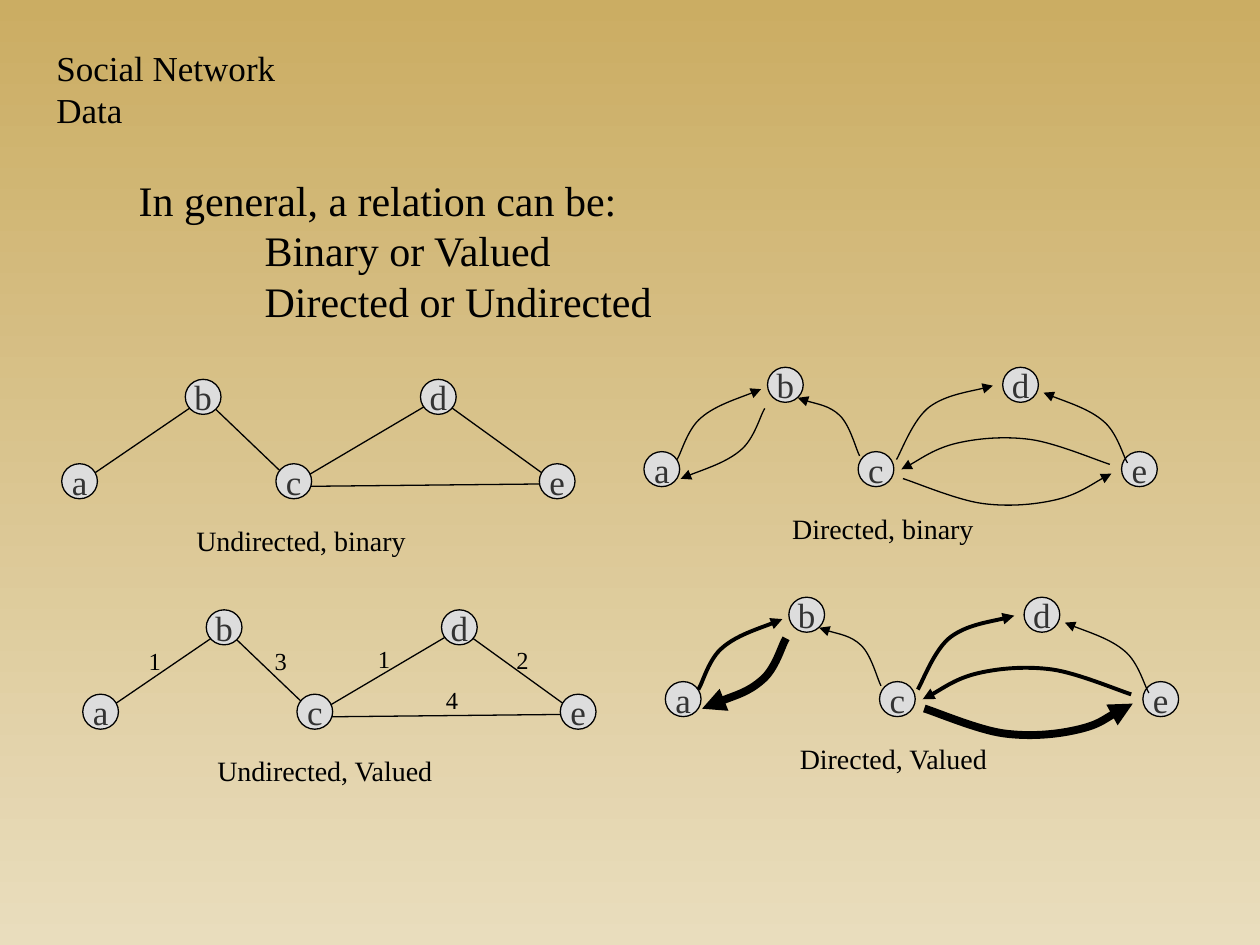
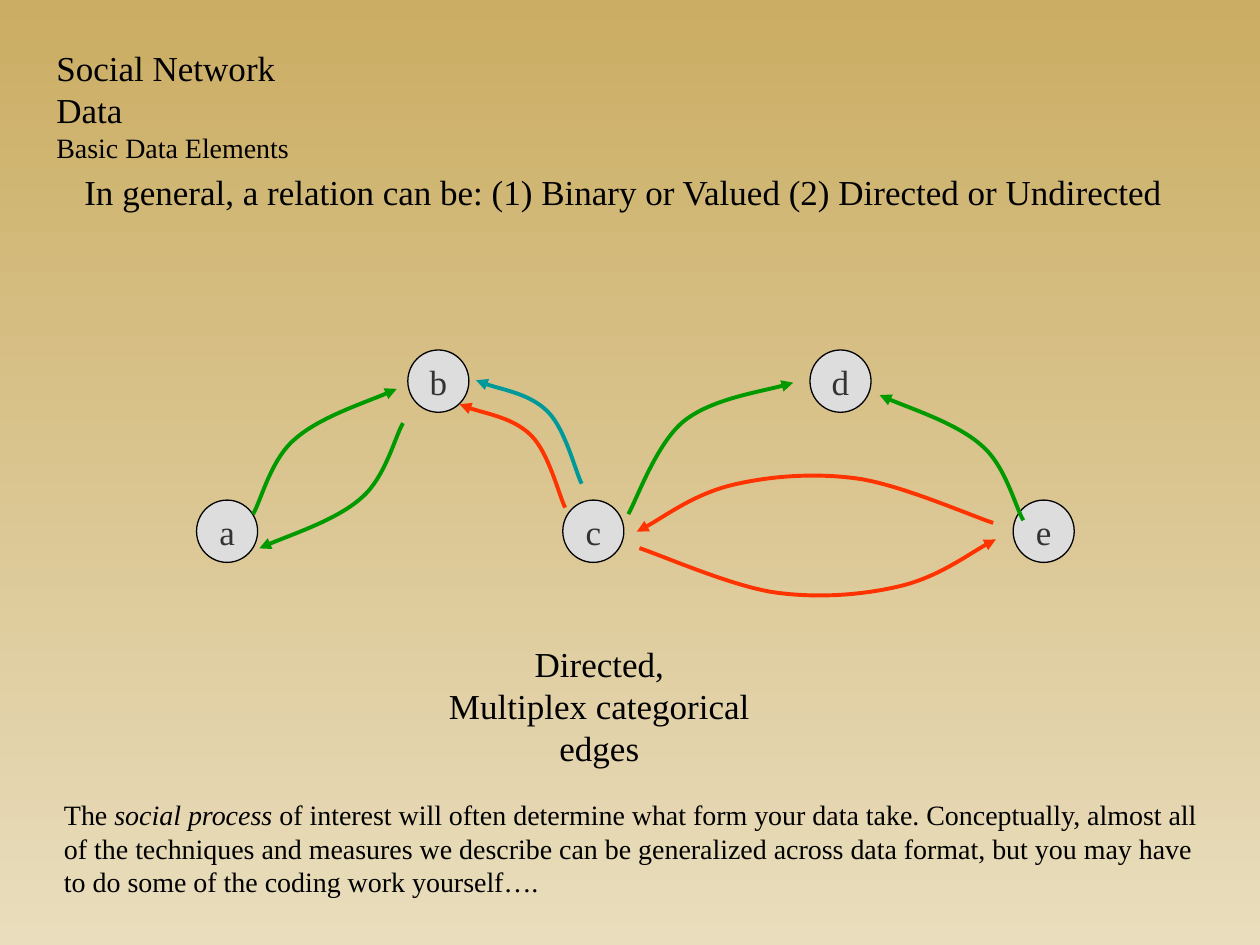
from dataclasses import dataclass

import lxml.etree
import pptx
import pptx.dml.color
import pptx.enum.shapes
import pptx.enum.text
import pptx.oxml.ns
import pptx.util

Pt = pptx.util.Pt
qn = pptx.oxml.ns.qn
ALIGN = pptx.enum.text.PP_ALIGN
ANCHOR = pptx.enum.text.MSO_ANCHOR


@dataclass(frozen=True)
class Theme:
    font: str = "Times New Roman"
    sky: str = "CBAD63"
    ground: str = "E9DDBD"
    ink: str = "000000"
    node_fill: str = "DDDDDD"
    node_ink: str = "333333"
    green: str = "009900"
    red: str = "FF3300"
    teal: str = "009999"
    lead: float = 24
    heading: float = 20
    body: float = 16
    weight: float = 14
    thin: float = 0.75
    medium: float = 2.25
    thick: float = 4.5


THEME = Theme()

# Network geometry in points, measured from the top left of node a
NODE_SIZE = (20.4, 20)
NODES = {"a": (0, 0), "b": (70.6, -48.2), "c": (122.4, 0), "d": (205, -48.2), "e": (272.9, 0)}
EDGE_LINE = [(10.8, 10.8), (81.4, -37.4), (132.5, 11.5), (215.3, -37.4), (283, 11.5), (134.6, 13)]


def turned(points, across, down):
    """Rotate a curve by half a turn; the arguments are twice its centre."""
    return [(across - x, down - y) for x, y in points]


def moved(points, across, down):
    return [(x + across, y + down) for x, y in points]


# Bezier curves: a start point, then three points for each segment
A_TO_B = [(18.9, 4.5), (21.5, 0.4), (24.8, -13), (32.8, -19.5),
          (40.8, -26.4), (59.7, -32.4), (66.9, -35.7)]
C_TO_B = [(123.2, 2.4), (121.1, -1.6), (117.8, -15), (111.9, -20.7),
          (106, -26.4), (93, -28.4), (87.9, -30.8)]
C_TO_D = [(144.3, 4.5), (147.2, -0.4), (153.9, -18.7), (163.2, -25.6),
          (172.4, -32.4), (191.8, -35.3), (199.4, -37.7)]
C_TO_E = [(148, 15.4), (155.6, 17.8), (178.8, 27.6), (193.1, 29.6), (207.8, 31.6),
          (222.9, 30.4), (235.1, 27.6), (247.7, 24.7), (260.8, 15.4), (267.1, 12.6)]
ARCS = {
    "ab": A_TO_B,
    "ba": turned(A_TO_B, 87.9, -20.2),
    "cd": C_TO_D,
    "ce": C_TO_E,
    "ed": [(295.2 - x, y + 2) for x, y in A_TO_B],
    "ec": turned(C_TO_E, 414.2, 22.7),
    "cb": C_TO_B,
    "cb second": moved(C_TO_B, 5.5, -7.7),
}


def rgb(value):
    return pptx.dml.color.RGBColor.from_string(value)


# Text
def write(box, text, size=THEME.body, color=THEME.ink, align=ALIGN.LEFT, indent=0):
    """Add a paragraph; text is a string or a list of (text, italic) spans."""
    frame = box.text_frame
    para = frame.paragraphs[0] if not frame.text else frame.add_paragraph()
    properties = para._p.get_or_add_pPr()
    properties.set("marL", str(Pt(indent)))
    properties.set("indent", "0")
    lxml.etree.SubElement(properties, qn("a:buNone"))
    para.alignment = align
    para.space_before = Pt(0)
    for words, italic in [(text, False)] if isinstance(text, str) else text:
        span = para.add_run()
        span.text = words
        span.font.name = THEME.font
        span.font.size = Pt(size)
        span.font.italic = italic
        span.font.color.rgb = rgb(color)


def place(box, left, top, width, height):
    box.left, box.top, box.width, box.height = map(Pt, (left, top, width, height))
    frame = box.text_frame
    frame.word_wrap = True
    frame.auto_size = pptx.enum.text.MSO_AUTO_SIZE.NONE
    frame.vertical_anchor = ANCHOR.TOP
    return box


def add_label(shapes, text, left, top, width, height, **style):
    box = place(shapes.add_textbox(0, 0, 0, 0), left, top, width, height)
    write(box, text, **style)


# Network parts
def add_node(shapes, name, left, top, width, height):
    node = shapes.add_shape(pptx.enum.shapes.MSO_SHAPE.OVAL,
                            Pt(left), Pt(top), Pt(width), Pt(height))
    node.shadow.inherit = False
    node.fill.solid()
    node.fill.fore_color.rgb = rgb(THEME.node_fill)
    node.line.color.rgb = rgb(THEME.ink)
    node.line.width = Pt(THEME.thin)
    frame = node.text_frame
    frame.margin_left = frame.margin_right = frame.margin_top = frame.margin_bottom = 0
    frame.word_wrap = False
    frame.vertical_anchor = ANCHOR.MIDDLE
    write(node, name, size=THEME.heading, color=THEME.node_ink, align=ALIGN.CENTER)


def add_outline(shapes, points, color=THEME.ink, width=THEME.thin):
    corners = [(Pt(x), Pt(y)) for x, y in points]
    builder = shapes.build_freeform(*corners[0])
    builder.add_line_segments(corners[1:], close=False)
    outline = builder.convert_to_shape()
    outline.shadow.inherit = False
    outline.fill.background()
    outline.line.color.rgb = rgb(color)
    outline.line.width = Pt(width)
    return outline


def add_arc(shapes, points, **style):
    """Draw a curved arrow by joining each three line ends into a Bezier segment."""
    arc = add_outline(shapes, points, **style)
    lines = list(arc.element.iter(qn("a:lnTo")))
    for first in range(0, len(lines), 3):
        curve = lxml.etree.Element(qn("a:cubicBezTo"))
        lines[first].addprevious(curve)
        for line in lines[first:first + 3]:
            curve.append(line[0])
            line.getparent().remove(line)
    stroke = arc.element.spPr.find(qn("a:ln"))
    lxml.etree.SubElement(stroke, qn("a:tailEnd"), type="triangle")


def add_network(page, left, top, arcs=None, scale=(1, 1)):
    """Draw the five nodes, joined by plain lines or by the arcs {name: style}."""
    shapes = page.shapes.add_group_shape().shapes

    def on_page(points):
        return [(left + x * scale[0], top + y * scale[1]) for x, y in points]

    if arcs is None:
        add_outline(shapes, on_page(EDGE_LINE))
    width, height = NODE_SIZE[0] * scale[0], NODE_SIZE[1] * scale[1]
    for name, (x, y) in zip(NODES, on_page(NODES.values())):
        add_node(shapes, name, x, y, width, height)
    for name, style in (arcs or {}).items():
        add_arc(shapes, on_page(ARCS[name]), **style)


# Shared page parts
def paint_background(master):
    fill = master.background.fill
    fill.gradient()
    fill.gradient_angle = 270
    for stop, color in zip(fill.gradient_stops, (THEME.sky, THEME.ground)):
        stop.color.rgb = rgb(color)


def add_page(deck, subtitle=None):
    page = deck.slides.add_slide(deck.slide_layouts[1])
    title = place(page.shapes.title, 25, 23, 176, 50)
    write(title, "Social Network Data", size=THEME.heading)
    if subtitle:
        write(title, subtitle)
    return page


def build_relation_types(deck):
    page = add_page(deck)
    body = place(page.placeholders[1], 72, 96, 374, 94)
    write(body, "In general, a relation can be:", size=THEME.lead)
    for choice in ("Binary or Valued", "Directed or Undirected"):
        write(body, choice, size=THEME.lead, indent=72)

    # Four networks: left and top of node a, caption, caption offset, arcs
    plain = {name: {} for name in ("ab", "ba", "cd", "ce", "ed", "ec", "cb")}
    widths = {"ab": THEME.medium, "ba": THEME.thick, "cd": THEME.medium,
              "ce": THEME.thick, "ec": THEME.medium}
    valued = {name: {"width": widths.get(name, THEME.thin)} for name in plain}
    for left, top, caption, offset, arcs in (
            (35.3, 265, "Undirected, binary", 69.8, None),
            (368, 258.1, "Directed, binary", 77.6, plain),
            (47.3, 396.7, "Undirected, Valued", 69.8, None),
            (380.2, 389.5, "Directed, Valued", 69.8, valued)):
        add_network(page, left, top, arcs)
        add_label(page.shapes, caption, left + offset, top + 30.5, 155, 26.6)

    # Edge values
    for value, left, top in (("1", 77.8, 365.8), ("3", 149.8, 365.8), ("4", 247.7, 388),
                             ("2", 288, 365), ("1", 208.8, 364.3)):
        add_label(page.shapes, value, left, top, 22, 24, size=THEME.weight)


def build_multiplex(deck):
    page = add_page(deck, "Basic Data Elements")
    body = place(page.placeholders[1], 41, 93.6, 662, 31)
    write(body, "In general, a relation can be: (1) Binary or Valued (2) Directed or Undirected",
          size=THEME.heading)

    colors = {"ab": THEME.green, "ba": THEME.green, "cd": THEME.green, "ce": THEME.red,
              "ed": THEME.green, "ec": THEME.red, "cb": THEME.red, "cb second": THEME.teal}
    arcs = {name: {"color": color, "width": THEME.medium} for name, color in colors.items()}
    add_network(page, 112.3, 285.8, arcs, scale=(1.71, 1.78))

    caption = place(page.shapes.add_textbox(0, 0, 0, 0), 230, 363.6, 225, 80)
    for line in ("Directed,", "Multiplex categorical edges"):
        write(caption, line, size=THEME.heading, align=ALIGN.CENTER)

    add_label(page.shapes, [
        ("The ", False), ("social process ", True),
        ("of interest will often determine what form your data take. Conceptually, almost all "
         "of the techniques and measures we describe can be generalized across data format, "
         "but you may have to do some of the coding work yourself….", False),
    ], 29.5, 452.2, 667.4, 65)


def main():
    deck = pptx.Presentation()
    deck.slide_width, deck.slide_height = Pt(720), Pt(540)
    paint_background(deck.slide_master)
    build_relation_types(deck)
    build_multiplex(deck)
    deck.save("out.pptx")


if __name__ == "__main__":
    main()
